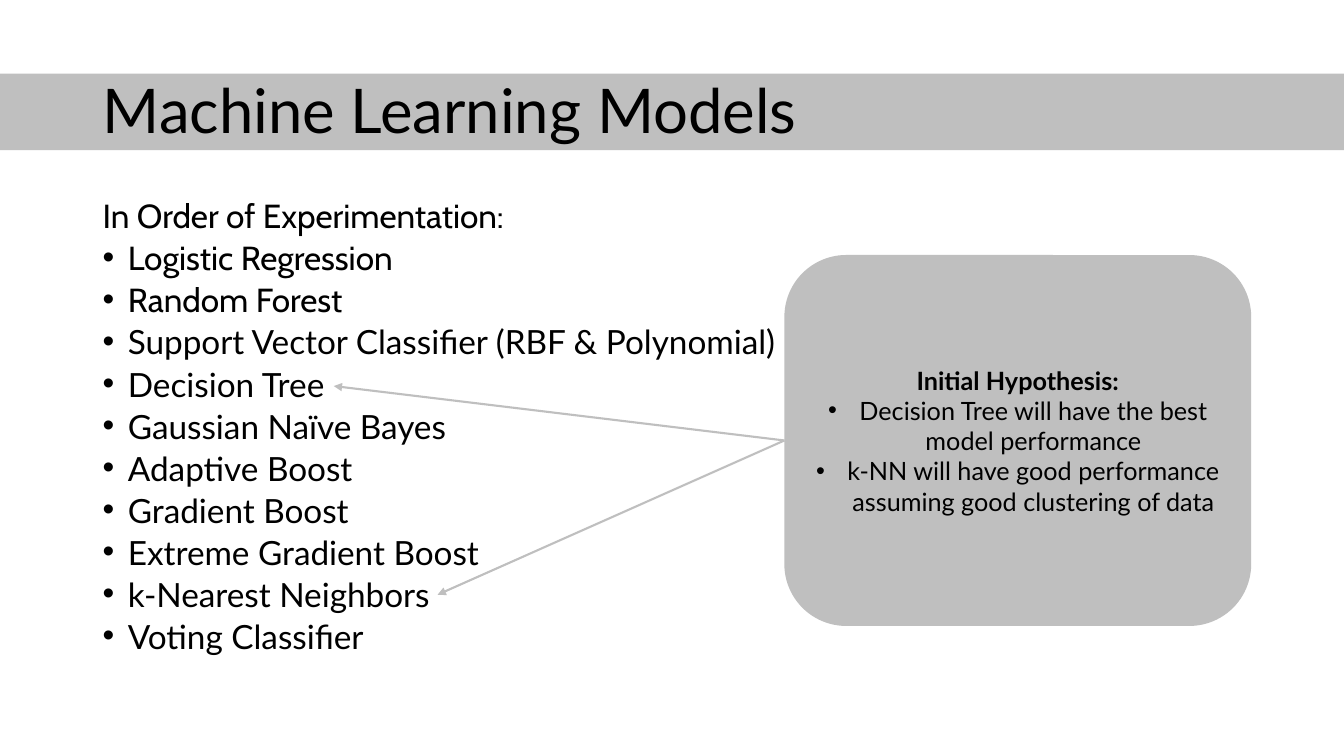
from lxml import etree
from pptx import Presentation
from pptx.dml.color import RGBColor
from pptx.enum.shapes import MSO_CONNECTOR, MSO_SHAPE
from pptx.enum.text import MSO_ANCHOR, PP_ALIGN
from pptx.oxml.ns import qn
from pptx.util import Inches, Pt

TITLE = "Machine Learning Models"
LIST_HEADING = "In Order of Experimentation:"
MODELS = [
    "Logistic Regression",
    "Random Forest",
    "Support Vector Classifier (RBF & Polynomial)",
    "Decision Tree",
    "Gaussian Naïve Bayes",
    "Adaptive Boost",
    "Gradient Boost",
    "Extreme Gradient Boost",
    "k-Nearest Neighbors",
    "Voting Classifier",
]
CABIN_LINES = 3  # the heading and the first two models
HYPOTHESIS_HEADING = "Initial Hypothesis:"
HYPOTHESES = [
    "Decision Tree will have the best model performance",
    "k-NN will have good performance assuming good clustering of data",
]

GREY = RGBColor(0xBF, 0xBF, 0xBF)
BLACK = RGBColor(0, 0, 0)

SLIDE_W, SLIDE_H = 13.33, 7.5
MARGIN = 0.92
CONTENT_W = SLIDE_W - 2 * MARGIN
BAND = (0, 0.73, SLIDE_W, 0.76)
TITLE_BOX = (MARGIN, 0.4, CONTENT_W, 1.45)
LIST_BOX = (MARGIN, 2, CONTENT_W, 4.76)
CARD = (7.78, 2.53, 4.63, 3.68)
ARROW_START = (CARD[0], CARD[1] + CARD[3] / 2)
ARROW_TIPS = [(4.34, 5.9), (3.31, 3.83)]  # k-Nearest Neighbors, Decision Tree


def inches(values):
    return [Inches(v) for v in values]


def add_grey_shape(slide, kind, box):
    sp = slide.shapes.add_shape(kind, *inches(box))
    sp.shadow.inherit = False
    sp.fill.solid()
    sp.fill.fore_color.rgb = GREY
    sp.line.fill.background()
    return sp


def add_bullet(p, indent):
    pPr = p._p.get_or_add_pPr()
    pPr.set("marL", str(Inches(indent)))
    pPr.set("indent", str(-Inches(indent)))
    etree.SubElement(pPr, qn("a:buFont")).set("typeface", "Arial")
    etree.SubElement(pPr, qn("a:buChar")).set("char", "•")


def write_lines(tf, lines, size, indent=0.25, spacing=None, before=0, align=PP_ALIGN.LEFT):
    """Write a heading line followed by bulleted lines."""
    tf.word_wrap = True
    for i, line in enumerate(lines):
        p = tf.add_paragraph() if i else tf.paragraphs[0]
        p.text = line
        p.alignment = align
        if spacing:
            p.line_spacing = spacing
        if i:
            p.space_before = Pt(before)
            add_bullet(p, indent)
        font = p.runs[0].font
        font.name = "Lato"
        font.size = Pt(size)
        font.color.rgb = BLACK


def add_arrow(slide, start, tip):
    line = slide.shapes.add_connector(MSO_CONNECTOR.STRAIGHT, *inches(start + tip))
    line.line.color.rgb = GREY
    line.line.width = Pt(1.5)
    etree.SubElement(line.line._get_or_add_ln(), qn("a:tailEnd")).set("type", "triangle")
    etree.SubElement(line._element.spPr, qn("a:effectLst"))


prs = Presentation()
prs.slide_width, prs.slide_height = inches((SLIDE_W, SLIDE_H))
slide = prs.slides.add_slide(prs.slide_layouts[6])

add_grey_shape(slide, MSO_SHAPE.RECTANGLE, BAND)

tf = slide.shapes.add_textbox(*inches(TITLE_BOX)).text_frame
tf.vertical_anchor = MSO_ANCHOR.MIDDLE
write_lines(tf, [TITLE], 44, spacing=0.9)

tf = slide.shapes.add_textbox(*inches(LIST_BOX)).text_frame
write_lines(tf, [LIST_HEADING] + MODELS, 23.8, spacing=0.7, before=10)
for p in tf.paragraphs[:CABIN_LINES]:
    p.runs[0].font.name = "Cabin"

tf = add_grey_shape(slide, MSO_SHAPE.ROUNDED_RECTANGLE, CARD).text_frame
tf.vertical_anchor = MSO_ANCHOR.MIDDLE
write_lines(tf, [HYPOTHESIS_HEADING] + HYPOTHESES, 18, indent=0.31, align=PP_ALIGN.CENTER)
tf.paragraphs[0].runs[0].font.bold = True

for tip in ARROW_TIPS:
    add_arrow(slide, ARROW_START, tip)

prs.save("out.pptx")
